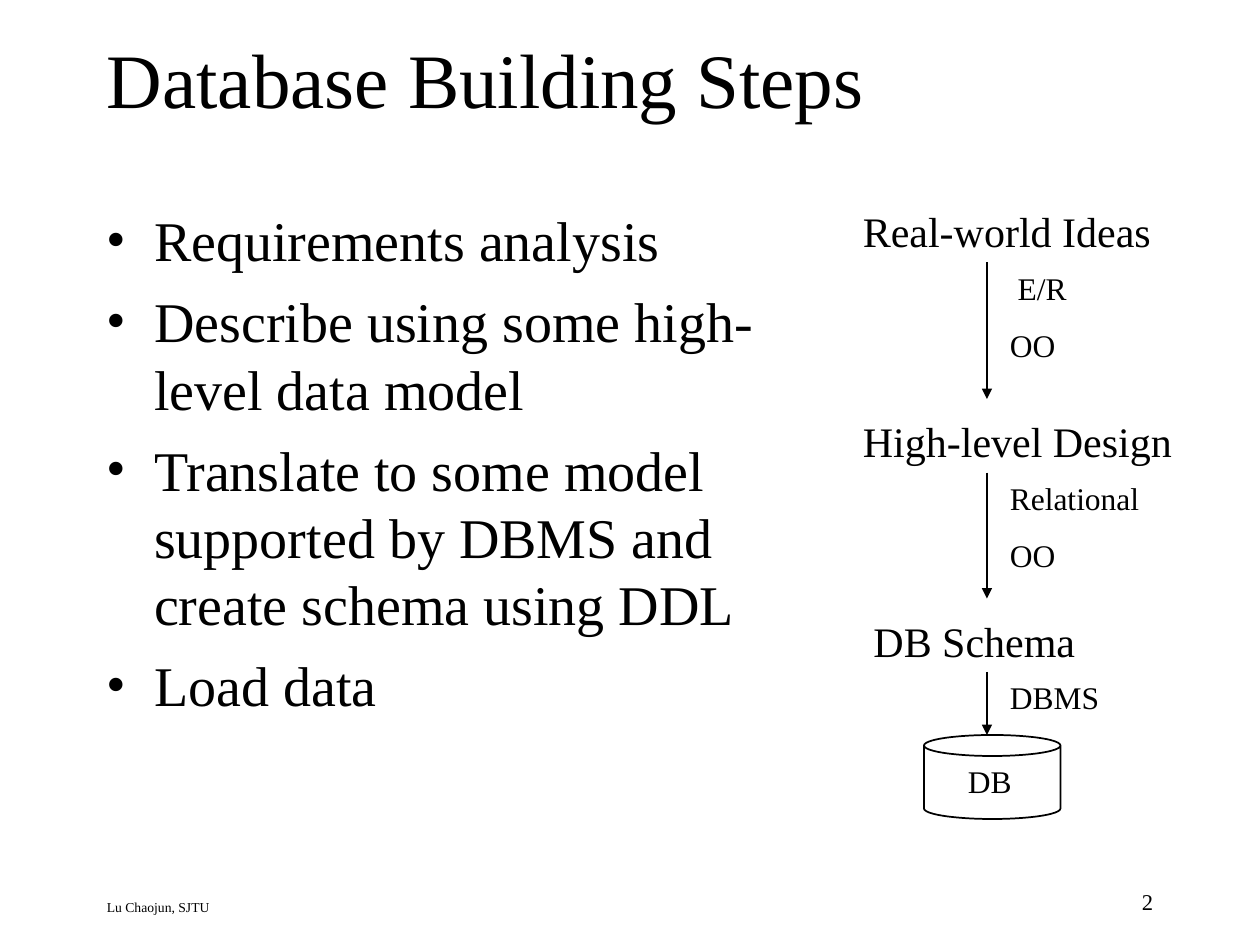
from lxml.etree import SubElement
from pptx import Presentation
from pptx.dml.color import RGBColor
from pptx.enum.shapes import MSO_CONNECTOR as Conn, MSO_SHAPE as Shape
from pptx.enum.text import MSO_ANCHOR as Anchor, PP_ALIGN as Align
from pptx.oxml.ns import qn
from pptx.util import Pt

FONT = "Times New Roman"
INK = "000000"
AXIS = 564  # x of the arrows
NOTE = 570  # left edge of the notes beside them

TITLE = "Database Building Steps"
STEPS = [
    "Requirements analysis",
    "Describe using some high-level data model",
    "Translate to some model supported by DBMS and create schema using DDL",
    "Load data",
]
# text, left, top, width
STAGES = [
    ("Real-world Ideas", 486, 114, 192),
    ("High-level Design", 486, 234, 204),
    ("DB Schema", 492, 348, 162),
]
# arrow top, arrow end, notes, note width
LINKS = [
    (150, 228, [" E/R", "OO"], 66),
    (270, 342, ["Relational", "OO"], 96),
    (384, 420, ["DBMS"], 96),
]


def color(code):
    return RGBColor.from_string(code)


def add_text(slide, lines, box, size, gap=0, align=Align.LEFT, anchor=Anchor.TOP):
    """Add a text box with one paragraph per line, gap points apart."""
    frame = slide.shapes.add_textbox(*map(Pt, box)).text_frame
    frame.word_wrap = True
    frame.vertical_anchor = anchor
    frame.text = "\n".join(lines)
    for i, para in enumerate(frame.paragraphs):
        para.alignment = align
        para.space_before = Pt(gap if i else 0)
        for run in para.runs:
            run.font.name = FONT
            run.font.size = Pt(size)
            run.font.color.rgb = color(INK)
    return frame


def add_bullets(frame, indent):
    for para in frame.paragraphs:
        props = para._p.get_or_add_pPr()
        props.set("marL", str(Pt(indent)))
        props.set("indent", str(-Pt(indent)))
        SubElement(props, qn("a:buFont"), typeface=FONT)
        SubElement(props, qn("a:buChar"), char="•")


def add_arrow(slide, top, end):
    line = slide.shapes.add_connector(
        Conn.STRAIGHT, Pt(AXIS), Pt(top), Pt(AXIS), Pt(end))
    line.line.color.rgb = color(INK)
    line.line.width = Pt(0.75)
    SubElement(line.line._get_or_add_ln(), qn("a:tailEnd"), type="triangle")
    SubElement(line._element.spPr, qn("a:effectLst"))


def add_can(slide, box):
    can = slide.shapes.add_shape(Shape.CAN, *map(Pt, box))
    can.shadow.inherit = False
    can.adjustments[0] = 0.25
    can.fill.background()
    can.line.color.rgb = color(INK)
    can.line.width = Pt(1)


def main():
    deck = Presentation()
    deck.slide_width, deck.slide_height = Pt(720), Pt(540)
    slide = deck.slides.add_slide(deck.slide_layouts[6])

    add_text(slide, ["Lu Chaojun, SJTU"], (54, 510, 417.6, 18), 7.8)
    add_text(slide, ["2"], (516, 504, 150, 24), 12.9, align=Align.RIGHT)
    add_text(slide, [TITLE], (54, -0.75, 612, 90), 44, anchor=Anchor.MIDDLE)
    steps = add_text(slide, STEPS, (54, 114, 444, 366), 32, gap=8)
    add_bullets(steps, 27)

    for text, left, top, width in STAGES:
        add_text(slide, [text], (left, top, width, 36), 24)
    for top, end, notes, width in LINKS:
        add_arrow(slide, top, end)
        add_text(slide, notes, (NOTE, top, width, 62 if notes[1:] else 29), 18, gap=11.2)
    add_can(slide, (528, 420, 78, 48))
    add_text(slide, ["DB"], (546, 432, 42, 29), 18)

    deck.save("out.pptx")


if __name__ == "__main__":
    main()
